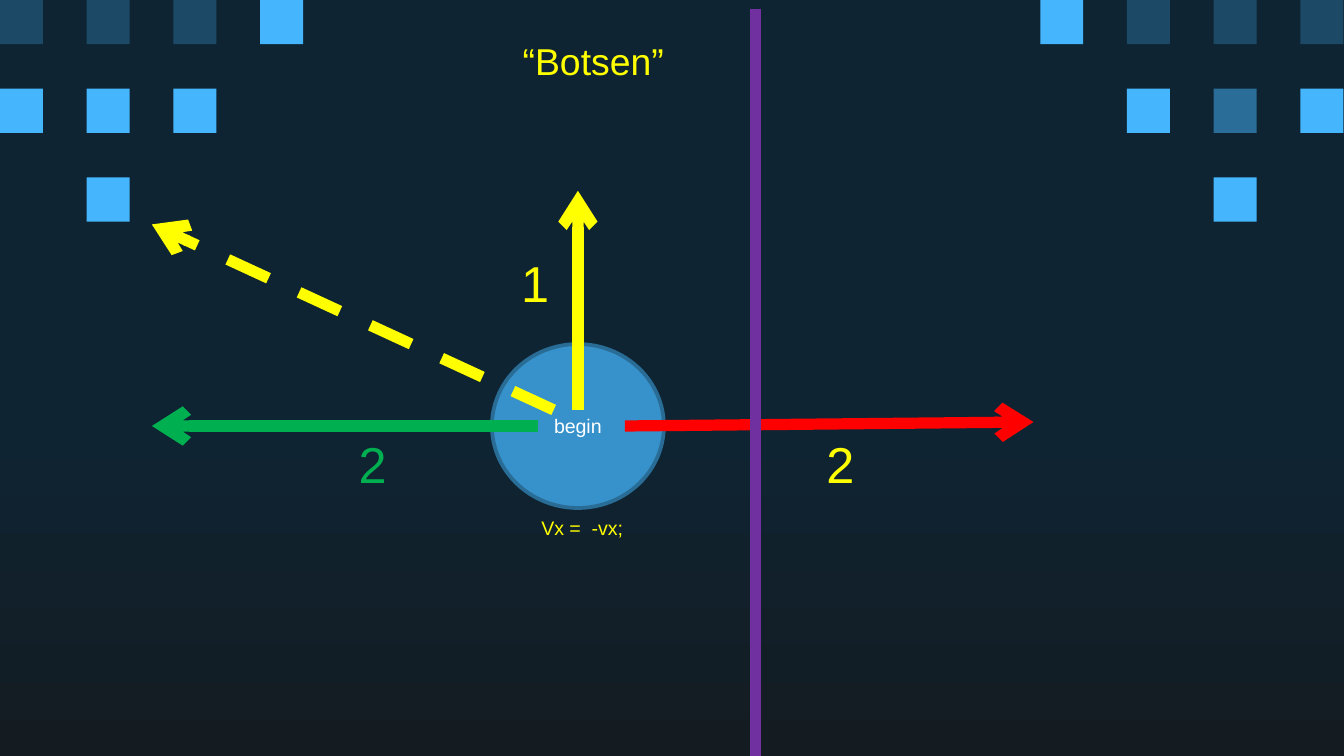
from lxml import etree
from pptx import Presentation
from pptx.dml.color import RGBColor
from pptx.enum.dml import MSO_LINE
from pptx.enum.shapes import MSO_CONNECTOR, MSO_SHAPE
from pptx.enum.text import MSO_ANCHOR, PP_ALIGN
from pptx.oxml.ns import qn
from pptx.util import Inches, Pt

RECTANGLE, ELLIPSE = MSO_SHAPE.RECTANGLE, MSO_SHAPE.OVAL
STRAIGHT = MSO_CONNECTOR.STRAIGHT
DASH = MSO_LINE.DASH
CENTER, LEFT = PP_ALIGN.CENTER, PP_ALIGN.LEFT
MIDDLE, TOP = MSO_ANCHOR.MIDDLE, MSO_ANCHOR.TOP

FONT = "Arial"
COLORS = {
    "night": "0E2433", "ground": "141C21",
    "bright": "45B6FE", "medium": "296D98", "dim": "1C4966",
    "ball": "3792CB", "rim": "296C96", "wall": "7030A0",
    "yellow": "FFFF00", "red": "FF0000", "green": "00B050", "white": "FFFFFF",
}

# Corner squares, one string per row: B bright, M medium, D dim, . empty
TONES = {"B": "bright", "M": "medium", "D": "dim"}
LEFT_TILES = ["DDDB", "BBB.", ".B.."]
RIGHT_TILES = ["BDDD", ".BMB", "..B."]
TILE_WIDTH, TILE_HEIGHT = 0.32, 0.33
STEP_X, STEP_Y = 0.645, 0.66


def color(name):
    return RGBColor.from_string(COLORS[name])


def paint_background(page):
    fill = page.background.fill
    fill.gradient()
    fill.gradient_angle = 270
    for stop, position, name in zip(fill.gradient_stops, (0.56, 1), ("night", "ground")):
        stop.position = position
        stop.color.rgb = color(name)


def add_tiles(page, left, top, rows):
    for row, tones in enumerate(rows):
        for column, tone in enumerate(tones):
            if tone not in TONES:
                continue
            tile = page.shapes.add_shape(
                RECTANGLE, Inches(left + column * STEP_X), Inches(top + row * STEP_Y),
                Inches(TILE_WIDTH), Inches(TILE_HEIGHT))
            tile.shadow.inherit = False
            tile.fill.solid()
            tile.fill.fore_color.rgb = color(TONES[tone])
            tile.line.fill.background()


def write(shape, text, size, name, align=LEFT, anchor=TOP, wrap=False):
    frame = shape.text_frame
    frame.word_wrap = wrap
    frame.vertical_anchor = anchor
    para = frame.paragraphs[0]
    para.text = text
    para.alignment = align
    para.font.name = FONT
    para.font.size = Pt(size)
    para.font.color.rgb = color(name)


def add_label(page, left, top, width, height, text, size, name, **layout):
    box = page.shapes.add_textbox(Inches(left), Inches(top), Inches(width), Inches(height))
    write(box, text, size, name, **layout)
    return box


def add_title(page, left, top, width, height):
    title = add_label(page, left, top, width, height, "“Botsen”", 20, "yellow",
                      align=CENTER, anchor=MIDDLE, wrap=True)
    title.text_frame.margin_top = title.text_frame.margin_bottom = Inches(0.1)


def add_line(page, start, end, name, arrow=True, dash=None):
    line = page.shapes.add_connector(STRAIGHT, *(Inches(v) for v in (*start, *end)))
    line.line.color.rgb = color(name)
    line.line.width = Pt(6)
    if dash:
        line.line.dash_style = dash
    properties = line._element.spPr
    if arrow:
        etree.SubElement(properties.find(qn("a:ln")), qn("a:tailEnd"), type="arrow")
    etree.SubElement(properties, qn("a:effectLst"))


def add_ball(page, left, top, width, height):
    ball = page.shapes.add_shape(
        ELLIPSE, Inches(left), Inches(top), Inches(width), Inches(height))
    ball.shadow.inherit = False
    ball.fill.solid()
    ball.fill.fore_color.rgb = color("ball")
    ball.line.color.rgb = color("rim")
    ball.line.width = Pt(2)
    write(ball, "begin", 10.5, "white", align=CENTER, anchor=MIDDLE, wrap=True)


def add_bounce(page, left, top, width, height):
    """Ball in the given box, with its movements around it."""
    add_ball(page, left, top, width, height)
    center_x, center_y = left + width / 2, top + height / 2
    start_y = center_y - 0.12
    tip_x = center_x - 3.17

    # Movement arrows
    add_line(page, (center_x + 0.35, center_y), (center_x + 3.39, center_y - 0.03), "red")
    add_line(page, (center_x, start_y), (center_x, center_y - 1.75), "yellow")
    add_line(page, (center_x - 0.3, center_y), (tip_x, center_y), "green")
    add_line(page, (center_x - 0.18, start_y), (tip_x, center_y - 1.5), "yellow", dash=DASH)

    # Speeds along each direction
    for dx, dy, text, name in ((1.75, 0, "2", "yellow"),
                               (-0.52, -1.34, "1", "yellow"),
                               (-1.73, 0, "2", "green")):
        add_label(page, center_x + dx, center_y + dy, 0.41, 0.56, text, 27, name)

    # Code under the ball
    add_label(page, left + 0.27, top + height + 0.01, 0.9, 0.28, "Vx =  -vx;", 10.5, "yellow")


def main():
    deck = Presentation()
    # Widescreen, 16 to 9
    deck.slide_width = Inches(10)
    deck.slide_height = Inches(10 * 9 / 16)
    page = deck.slides.add_slide(deck.slide_layouts[6])

    paint_background(page)
    add_tiles(page, 0, 0, LEFT_TILES)
    add_tiles(page, 7.74, 0, RIGHT_TILES)
    add_bounce(page, 3.66, 2.56, 1.28, 1.22)
    add_line(page, (5.62, 0.07), (5.62, 5.69), "wall", arrow=False)
    add_title(page, 0.2, 0.27, 8.43, 0.36)
    deck.save("out.pptx")


if __name__ == "__main__":
    main()
